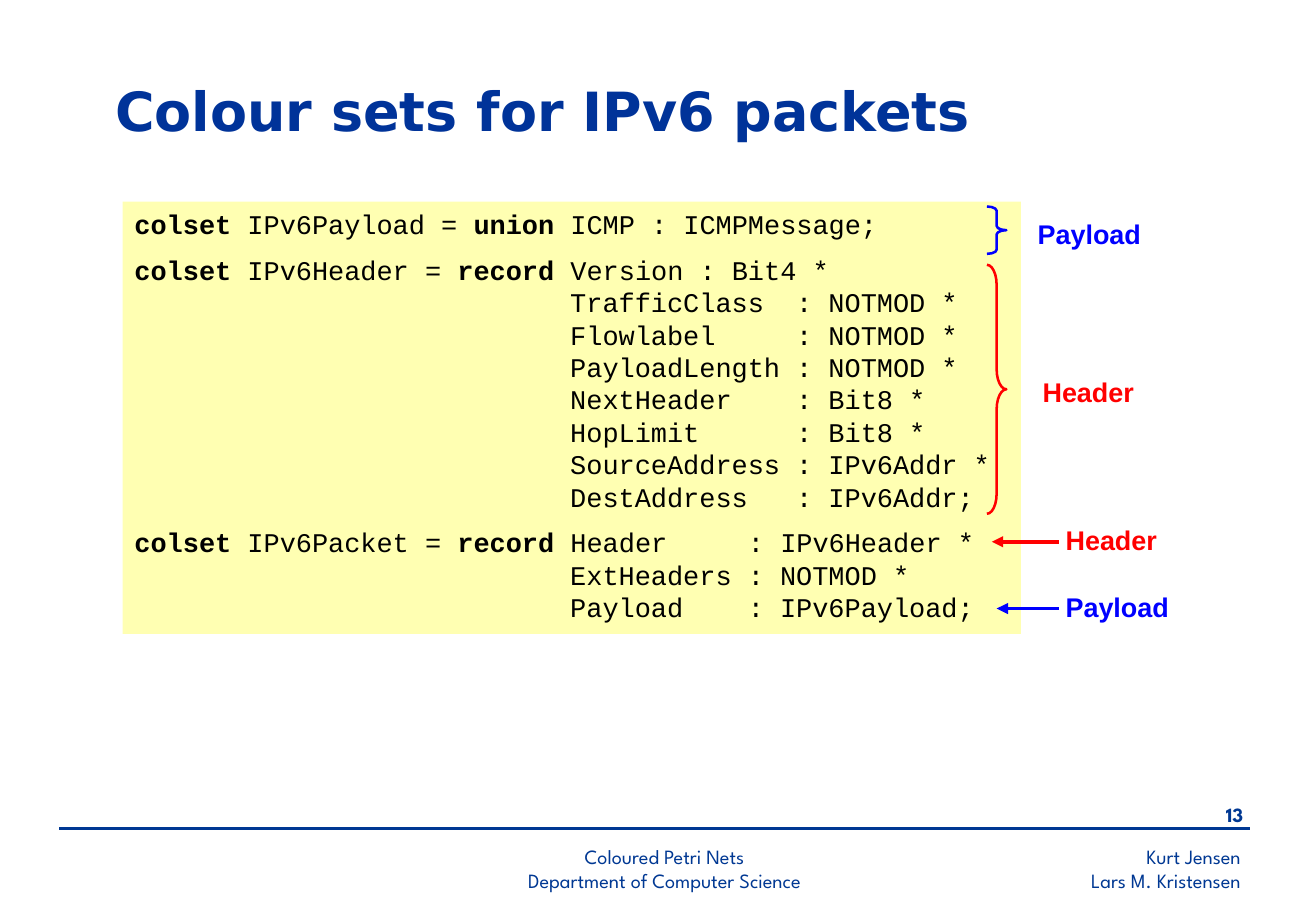
from dataclasses import dataclass

from lxml.etree import SubElement
from pptx import Presentation
from pptx.dml.color import RGBColor
from pptx.enum.shapes import MSO_CONNECTOR as Conn, MSO_SHAPE as Shape
from pptx.enum.text import MSO_ANCHOR as Anchor, PP_ALIGN as Align
from pptx.oxml.ns import qn
from pptx.util import Inches, Pt


@dataclass(frozen=True)
class Theme:
    title: str = "003399"
    footer: str = "003893"
    header: str = "FF0000"
    payload: str = "0000FF"
    code: str = "000000"
    panel: str = "FFFF66"
    title_font: str = "DejaVu Sans"
    footer_font: str = "League Spartan"
    code_font: str = "Courier New"
    label_font: str = "Arial"
    title_size: float = 32
    body_size: float = 16
    footer_size: float = 12
    code_pitch: float = 19.2
    block_gap: float = 8


@dataclass(frozen=True)
class Label:
    text: str
    left: float
    top: float
    width: float
    color: str


@dataclass(frozen=True)
class Brace:
    top: float
    height: float
    curve: float
    color: str


@dataclass(frozen=True)
class Arrow:
    tip: float
    y: float
    color: str


@dataclass(frozen=True)
class Footer:
    text: str
    left: float
    top: float
    width: float
    height: float
    align: Align
    bold: bool = False


T = Theme()
KEYWORDS = {"colset", "union", "record"}
CODE = """\
colset IPv6Payload = union ICMP : ICMPMessage;

colset IPv6Header = record Version : Bit4 *
                           TrafficClass  : NOTMOD *
                           Flowlabel     : NOTMOD *
                           PayloadLength : NOTMOD *
                           NextHeader    : Bit8 *
                           HopLimit      : Bit8 *
                           SourceAddress : IPv6Addr *
                           DestAddress   : IPv6Addr;

colset IPv6Packet = record Header     : IPv6Header *
                           ExtHeaders : NOTMOD *
                           Payload    : IPv6Payload;"""

FOOTERS = [
    Footer("Coloured Petri Nets\nDepartment of Computer Science",
           3.41, 6.9, 4.13, 0.47, Align.CENTER),
    Footer("Kurt Jensen\nLars M. Kristensen", 6.95, 6.9, 3.37, 0.5, Align.RIGHT),
    Footer("13", 9.63, 6.56, 0.71, 0.33, Align.RIGHT, bold=True),
]
LABELS = [
    Label("Payload", 8.45, 1.74, 1.34, T.payload),
    Label("Header", 8.49, 3.04, 1.02, T.header),
    Label("Header", 8.68, 4.26, 1.02, T.header),
    Label("Payload", 8.68, 4.81, 1.34, T.payload),
]
BRACES = [Brace(1.7, 0.39, 0.22, T.payload), Brace(2.18, 2.05, 1.04, T.header)]
ARROWS = [Arrow(8.17, 4.46, T.header), Arrow(8.21, 5.01, T.payload)]


def add_run(p, text: str, *, font: str, size: float, color: str,
            bold: bool = False) -> None:
    r = p.add_run()
    r.text = text
    r.font.name, r.font.size, r.font.bold = font, Pt(size), bold
    r.font.color.rgb = RGBColor.from_string(color)


def add_text(s, text: str, left: float, top: float, width: float, height: float,
             *, align: Align = Align.LEFT, **style) -> None:
    box = s.shapes.add_textbox(Inches(left), Inches(top), Inches(width), Inches(height))
    tf = box.text_frame
    tf.word_wrap = True
    for i, line in enumerate(text.split("\n")):
        p = tf.add_paragraph() if i else tf.paragraphs[0]
        p.alignment = align
        add_run(p, line, **style)


def add_line(s, x1: float, x2: float, y: float, color: str, width: float,
             arrow: bool = False) -> None:
    line = s.shapes.add_connector(Conn.STRAIGHT, Inches(x1), Inches(y),
                                  Inches(x2), Inches(y))
    line.line.color.rgb = RGBColor.from_string(color)
    line.line.width = Pt(width)
    if arrow:
        SubElement(line.line._get_or_add_ln(), qn("a:tailEnd"), type="triangle")
    SubElement(line._element.spPr, qn("a:effectLst"))


def add_title(s, text: str) -> None:
    sp = s.shapes.title
    sp.left, sp.top = Inches(0.85), Inches(0.56)
    sp.width, sp.height = Inches(8.9), Inches(0.69)
    sp.text_frame.vertical_anchor = Anchor.MIDDLE
    p = sp.text_frame.paragraphs[0]
    p.alignment = Align.LEFT
    add_run(p, text, font=T.title_font, size=T.title_size, color=T.title, bold=True)


def add_code(s) -> None:
    sp = s.shapes.add_shape(Shape.RECTANGLE, Inches(1.01), Inches(1.66),
                            Inches(7.4), Inches(3.56))
    sp.shadow.inherit = False
    sp.line.fill.background()
    sp.fill.solid()
    sp.fill.fore_color.rgb = RGBColor.from_string(T.panel)
    SubElement(sp._element.spPr.find(f".//{qn('a:srgbClr')}"), qn("a:alpha"), val="50000")
    tf = sp.text_frame
    tf.word_wrap = True
    tf.vertical_anchor = Anchor.TOP
    tf.margin_bottom = Inches(0.09)

    # Blank lines in the code become space before the next block
    style = dict(font=T.code_font, size=T.body_size, color=T.code)
    p = None
    for block in CODE.split("\n\n"):
        for i, line in enumerate(block.split("\n")):
            first = p is None
            p = tf.paragraphs[0] if first else tf.add_paragraph()
            p.alignment = Align.LEFT
            p.line_spacing = Pt(T.code_pitch)
            p.space_before = Pt(T.block_gap if i == 0 and not first else 0)
            if line.startswith(" "):
                add_run(p, line, **style)
                continue
            colset, name, equals, kind, rest = line.split(" ", 4)
            for part in (colset, f" {name} {equals} ", kind, f" {rest}"):
                add_run(p, part, bold=part in KEYWORDS, **style)


def add_brace(s, brace: Brace) -> None:
    sp = s.shapes.add_shape(Shape.RIGHT_BRACE, Inches(8.13), Inches(brace.top),
                            Inches(0.16), Inches(brace.height))
    sp.adjustments[0] = brace.curve
    sp.shadow.inherit = False
    sp.fill.background()
    sp.line.color.rgb = RGBColor.from_string(brace.color)
    sp.line.width = Pt(1.5)


def main() -> None:
    prs = Presentation()
    prs.slide_width, prs.slide_height = Inches(10.84), Inches(7.5)
    s = prs.slides.add_slide(prs.slide_layouts[5])

    # Footer and rule
    for f in FOOTERS:
        add_text(s, f.text, f.left, f.top, f.width, f.height, align=f.align,
                 font=T.footer_font, size=T.footer_size, color=T.footer, bold=f.bold)
    add_line(s, 0.49, 10.3, 6.82, T.footer, 1.5)

    # Title and declarations
    add_title(s, "Colour sets for IPv6 packets")
    add_code(s)

    # Annotations
    for arrow in ARROWS:
        add_line(s, 8.72, arrow.tip, arrow.y, arrow.color, 2.25, arrow=True)
    for brace in BRACES:
        add_brace(s, brace)
    for lb in LABELS:
        add_text(s, lb.text, lb.left, lb.top, lb.width, 0.37, font=T.label_font,
                 size=T.body_size, color=lb.color, bold=True)

    prs.save("out.pptx")


if __name__ == "__main__":
    main()
